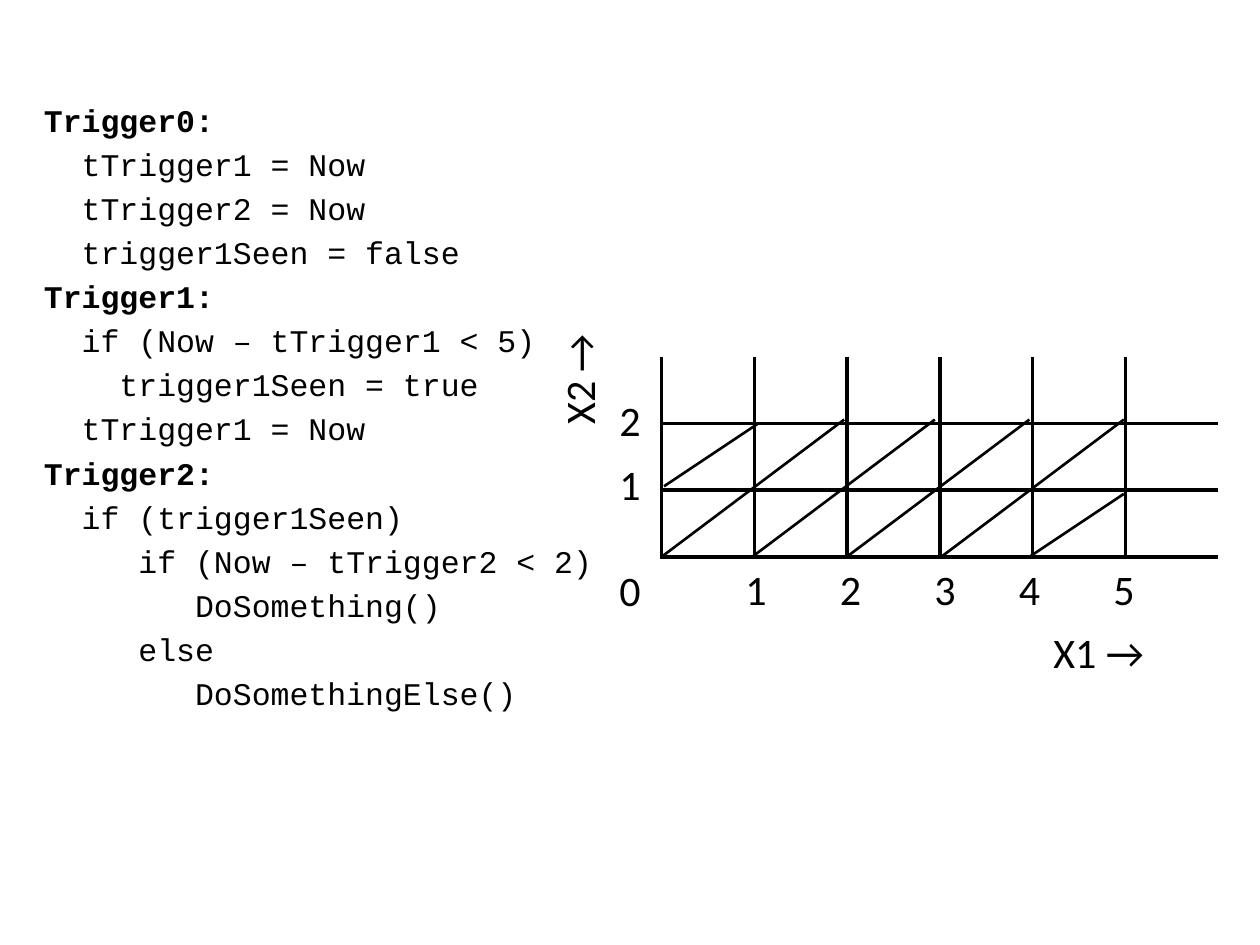
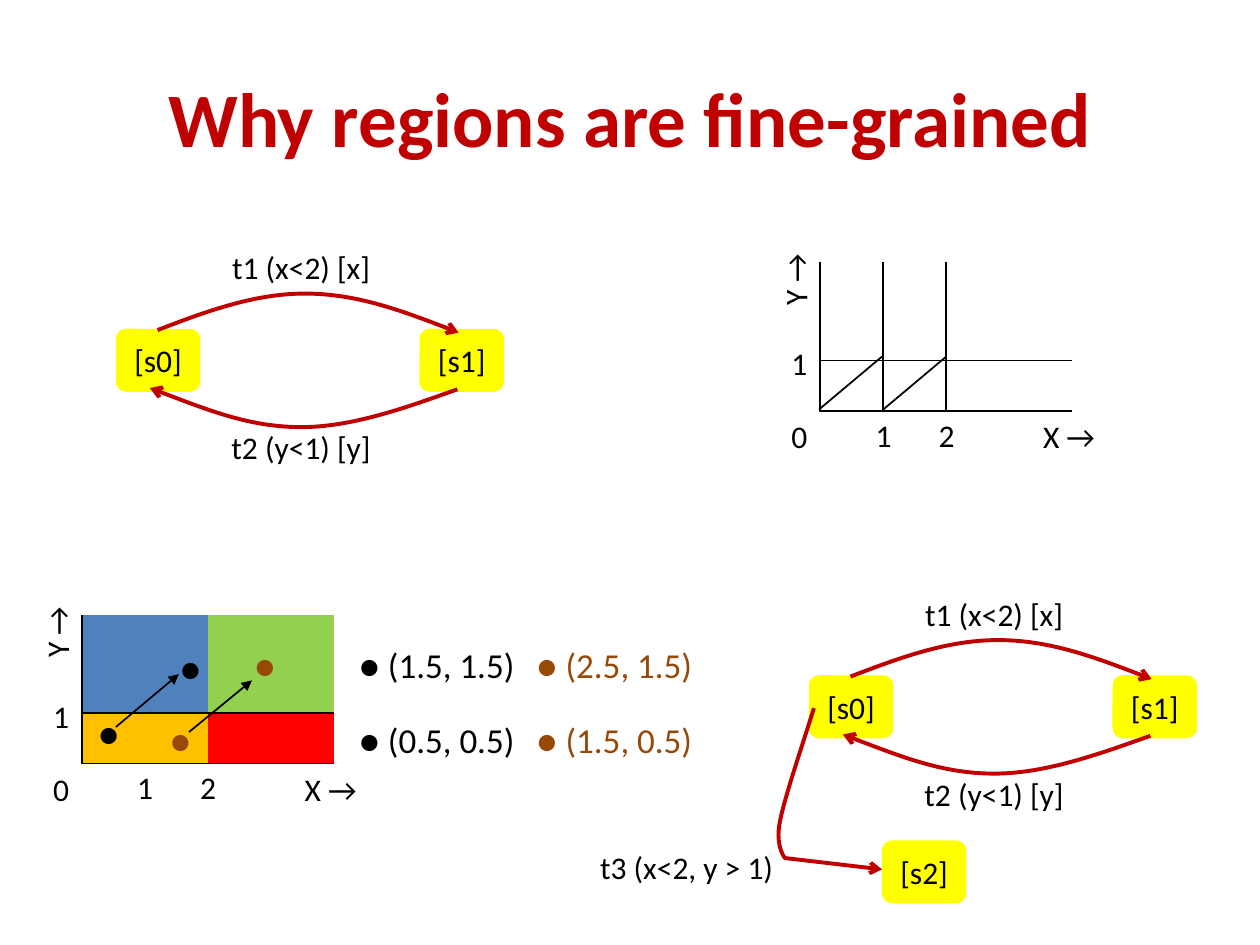
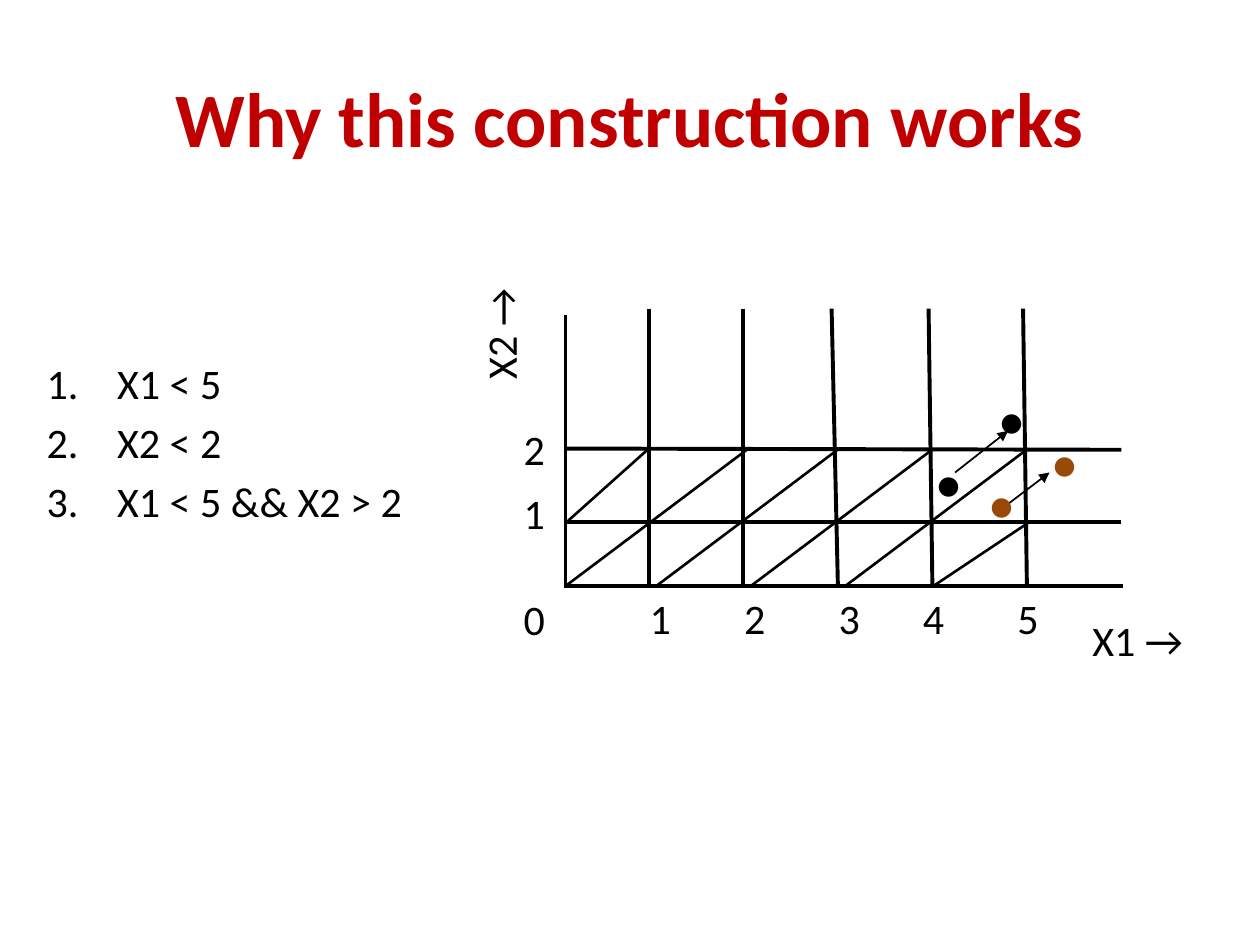
from pptx import Presentation
from pptx.dml.color import RGBColor
from pptx.enum.shapes import MSO_CONNECTOR, MSO_SHAPE
from pptx.enum.text import MSO_ANCHOR, MSO_AUTO_SIZE, PP_ALIGN
from pptx.oxml.ns import qn
from pptx.util import Inches, Pt
from lxml.etree import SubElement

BLACK, RED, BROWN, YELLOW = "000000", "C00000", "984807", "FFFF00"
BLUE, GREEN, ORANGE, BRIGHT_RED = "4F81BD", "92D050", "FFC000", "FF0000"
BODY_FONT, CODE_FONT = "Calibri", "Courier New"
NO_TABLE_STYLE = "{2D5ABB26-0587-4C30-8999-92F81FD0307C}"
TITLE_AND_CONTENT, TITLE_ONLY, BLANK = 1, 5, 6
CODE_GAP, LIST_GAP = Pt(3.6), Pt(5)

TRIGGER_CODE = """\
Trigger0:
  tTrigger1 = Now
  tTrigger2 = Now
  trigger1Seen = false
Trigger1:
  if (Now – tTrigger1 < 5)
    trigger1Seen = true
  tTrigger1 = Now
Trigger2:
  if (trigger1Seen)
     if (Now – tTrigger2 < 2)
        DoSomething()
     else
        DoSomethingElse()"""


def rgb(color):
    return RGBColor.from_string(color)


def inches(*lengths):
    return [Inches(length) for length in lengths]


class Deck:
    def __init__(self):
        self.prs = Presentation()
        self.prs.slide_width, self.prs.slide_height = inches(10, 7.5)
        self.slide = None

    def new_slide(self, layout, title=None):
        self.slide = self.prs.slides.add_slide(self.prs.slide_layouts[layout])
        if title:
            heading = self.slide.shapes.title
            self.place(heading, 0.5, 0.3, 9, 1.25)
            heading.text_frame.text = title
            heading.text_frame.vertical_anchor = MSO_ANCHOR.MIDDLE
            self.style(heading.text_frame.paragraphs[0], 44, RED, True, PP_ALIGN.CENTER)

    def place(self, shape, left, top, width, height):
        shape.left, shape.top, shape.width, shape.height = inches(left, top, width, height)

    def style(self, paragraph, size, color=BLACK, bold=False, align=PP_ALIGN.LEFT, font=BODY_FONT):
        paragraph.alignment = align
        for run in paragraph.runs:
            run.font.name, run.font.size, run.font.bold = font, Pt(size), bold
            run.font.color.rgb = rgb(color)

    def label(self, text, left, top, width, height, size=18, color=BLACK,
              align=PP_ALIGN.CENTER, rotation=0):
        box = self.slide.shapes.add_textbox(*inches(left, top, width, height))
        box.rotation = rotation
        box.text_frame.word_wrap = True
        box.text_frame.text = text
        self.style(box.text_frame.paragraphs[0], size, color, align=align)

    def dot(self, left, top, color, size=20):
        self.label("●", left, top, 0.33, 0.44, size, color, PP_ALIGN.LEFT)

    def code(self, source, left, top, width, height):
        """Add code whose section headings, ending in a colon, are bold."""
        box = self.slide.shapes.add_textbox(*inches(left, top, width, height))
        box.text_frame.word_wrap = True
        box.text_frame.text = source
        for number, paragraph in enumerate(box.text_frame.paragraphs):
            paragraph.space_before = CODE_GAP if number else Pt(0)
            self.style(paragraph, 18, bold=paragraph.text.endswith(":"), font=CODE_FONT)

    def numbered_list(self, items, left, top, width, height):
        body = self.slide.placeholders[1]
        self.place(body, left, top, width, height)
        frame = body.text_frame
        frame.auto_size = MSO_AUTO_SIZE.NONE
        frame.vertical_anchor = MSO_ANCHOR.MIDDLE
        frame.text = "\n".join(items)
        for number, paragraph in enumerate(frame.paragraphs):
            properties = paragraph._p.get_or_add_pPr()
            properties.set("marL", str(Inches(0.56)))
            properties.set("indent", str(-Inches(0.56)))
            SubElement(properties, qn("a:buFont"), typeface="+mj-lt")
            SubElement(properties, qn("a:buAutoNum"), type="arabicPeriod")
            paragraph.space_before = LIST_GAP if number else Pt(0)
            self.style(paragraph, 24)

    def line(self, start, end, width, head=None):
        connector = self.slide.shapes.add_connector(
            MSO_CONNECTOR.STRAIGHT, *inches(*start, *end))
        self.stroke(connector.line, BLACK, width, head)
        SubElement(connector._element.spPr, qn("a:effectLst"))

    def stroke(self, line, color, width, head=None):
        line.color.rgb = rgb(color)
        line.width = Pt(width)
        if head:
            SubElement(line._get_or_add_ln(), qn("a:tailEnd"), type=head)

    def curve(self, points, dx=0, dy=0):
        """Draw a red arrow; each three points make a Bezier curve, any left over a straight line."""
        start, *rest = [tuple(inches(x + dx, y + dy)) for x, y in points]
        builder = self.slide.shapes.build_freeform(*start)
        builder.add_line_segments(rest, close=False)
        arrow = builder.convert_to_shape()
        arrow.shadow.inherit = False
        arrow.fill.background()
        self.stroke(arrow.line, RED, 2.25, "arrow")
        steps = arrow._element.xpath(".//a:lnTo")
        for first in range(0, len(steps) - 2, 3):
            outline = steps[first].getparent()
            bezier = outline.makeelement(qn("a:cubicBezTo"))
            steps[first].addprevious(bezier)
            for step in steps[first:first + 3]:
                bezier.append(step[0])
                outline.remove(step)

    def state(self, name, left, top):
        node = self.slide.shapes.add_shape(
            MSO_SHAPE.ROUNDED_RECTANGLE, *inches(left, top, 0.67, 0.5))
        node.shadow.inherit = False
        node.fill.solid()
        node.fill.fore_color.rgb = rgb(YELLOW)
        node.line.fill.background()
        node.text_frame.text = name
        node.text_frame.vertical_anchor = MSO_ANCHOR.MIDDLE
        self.style(node.text_frame.paragraphs[0], 18, align=PP_ALIGN.CENTER)

    def grid(self, left, top, columns, rows, width, verticals=True, horizontals=True, fills=None):
        """Add a table open at the top and right, with inner lines as asked."""
        frame = self.slide.shapes.add_table(
            len(rows), len(columns), *inches(left, top, sum(columns), sum(rows)))
        table = frame.table
        table.first_row = table.horz_banding = False
        table._tbl.tblPr.find(qn("a:tableStyleId")).text = NO_TABLE_STYLE
        for column, size in zip(table.columns, columns):
            column.width = Inches(size)
        for row, size in zip(table.rows, rows):
            row.height = Inches(size)
        last_row, last_column = len(rows) - 1, len(columns) - 1
        for r in range(len(rows)):
            for c in range(len(columns)):
                cell = table.cell(r, c)
                self.borders(cell, width, {
                    "lnL": verticals or c == 0,
                    "lnR": verticals and c < last_column,
                    "lnT": horizontals and r > 0,
                    "lnB": horizontals or r == last_row})
                if fills:
                    cell.fill.solid()
                    cell.fill.fore_color.rgb = rgb(fills[r][c])
                else:
                    cell.fill.background()

    def borders(self, cell, width, sides):
        properties = cell._tc.get_or_add_tcPr()
        for side, shown in sides.items():
            edge = SubElement(properties, qn(f"a:{side}"), w=str(Pt(width) if shown else 0))
            if shown:
                SubElement(SubElement(edge, qn("a:solidFill")), qn("a:srgbClr"), val=BLACK)
            else:
                SubElement(edge, qn("a:noFill"))


def clock_plot(deck, x0, y0):
    """Label the X1/X2 grid with its origin at (x0, y0) and add the diagonals."""
    for number, dx in enumerate((0.5, 1.25, 2, 2.67, 3.42), 1):
        deck.label(str(number), x0 + dx, y0, 0.5, 0.5, 24)
    for number, dy in enumerate((0.01, -0.83, -1.34)):
        deck.label(str(number), x0 - 0.5, y0 + dy, 0.5, 0.5, 24)
    for dx in (0, 0.72, 1.47, 2.22):
        deck.line((x0 + dx, y0), (x0 + dx + 1.45, y0 - 1.09), 1.5)
    deck.line((x0 + 2.92, y0), (x0 + 3.67, y0 - 0.5), 1.5)


def small_plot(deck, x0, y0, **grid_options):
    """Add the small X/Y grid with its origin at (x0, y0)."""
    deck.grid(x0, y0 - 1.18, (0.5, 0.5, 1), (0.78, 0.4), 1, **grid_options)
    deck.label("X →", x0 + 1.67, y0, 0.74, 0.4, align=PP_ALIGN.LEFT)
    deck.label("Y →", x0 - 0.57, y0 - 1.31, 0.74, 0.4, align=PP_ALIGN.LEFT, rotation=270)
    for number, dy in enumerate((0, -0.58)):
        deck.label(str(number), x0 - 0.33, y0 + dy, 0.33, 0.4)
    for number in (1, 2):
        deck.label(str(number), x0 - 0.16 + number / 2, y0 - 0.01, 0.42, 0.4,
                   align=PP_ALIGN.LEFT)


def automaton(deck, dx, dy):
    """Add the two states and the transitions t1 and t2."""
    deck.state("[s0]", dx + 0.92, dy + 2.61)
    deck.state("[s1]", dx + 3.33, dy + 2.61)
    deck.curve([(1.25, 2.62), (1.64, 2.47), (2.02, 2.33), (2.42, 2.33),
                (2.82, 2.33), (3.23, 2.48), (3.64, 2.64)], dx, dy)
    deck.curve([(3.63, 3.09), (3.21, 3.24), (2.79, 3.39), (2.39, 3.39),
                (1.98, 3.39), (1.59, 3.23), (1.19, 3.08)], dx, dy)
    deck.label("t1 (x<2) [x]", dx + 1.45, dy + 1.92, 1.88, 0.4)
    deck.label("t2 (y<1) [y]", dx + 1.45, dy + 3.35, 1.88, 0.4)


def trigger_slide(deck):
    deck.new_slide(BLANK)
    deck.grid(5.25, 2.83, [4.42 / 6] * 6, [0.53] * 3, 2.25)
    clock_plot(deck, 5.25, 4.42)
    deck.line((5.27, 3.86), (6.02, 3.36), 1.5)
    deck.label("X1 →", 7.5, 4.92, 2.44, 0.5, 24)
    deck.label("X2 →", 3.58, 2.76, 2.02, 0.5, 24, rotation=270)
    deck.code(TRIGGER_CODE, 0.25, 0.75, 4.63, 5.45)


def regions_slide(deck):
    deck.new_slide(TITLE_ONLY, "Why regions are fine-grained")
    automaton(deck, 0, 0)
    small_plot(deck, 6.51, 3.26)
    for x in (6.5, 7.01):
        deck.line((x, 3.25), (x + 0.5, 2.83), 1)

    small_plot(deck, 0.65, 6.06, verticals=False,
               fills=[(BLUE, BLUE, GREEN), (ORANGE, ORANGE, BRIGHT_RED)])
    deck.line((0.92, 5.77), (1.42, 5.35), 1, "triangle")
    deck.line((1.5, 5.81), (2, 5.4), 1, "triangle")
    for left, top, color in ((0.68, 5.6, BLACK), (1.25, 5.65, BROWN),
                             (1.33, 5.08, BLACK), (1.92, 5.06, BROWN)):
        deck.dot(left, top, color)
    for y, top in ((0.5, 5.65), (1.5, 5.06)):
        for x, left, color in ((y, 2.75, BLACK), (y + 1, 4.16, BROWN)):
            deck.label(f"● ({x}, {y})", left, top, 1.5, 0.45, 20, color, PP_ALIGN.LEFT)

    automaton(deck, 5.5, 2.75)
    deck.state("[s2]", 7, 6.67)
    deck.curve([(6.46, 5.62), (6.35, 5.97), (6.23, 6.32), (6.19, 6.52),
                (6.15, 6.72), (6.23, 6.81), (6.23, 6.81), (7, 6.9)])
    deck.label("t3 (x<2, y > 1)", 4.35, 6.68, 2.2, 0.4)


def construction_slide(deck):
    deck.new_slide(TITLE_AND_CONTENT, "Why this construction works")
    deck.grid(4.49, 2.5, [4.42 / 6] * 6, (1.09, 0.53, 0.53), 2.25,
              verticals=False, horizontals=False)
    clock_plot(deck, 4.49, 4.65)
    deck.line((4.49, 4.15), (5.15, 3.56), 1.5)
    deck.label("X1 →", 7.81, 4.83, 2.44, 0.5, 24)
    deck.label("X2 →", 3.4, 2.4, 1.14, 0.5, 24, rotation=270)
    for top_x, bottom_x in ((5.15, 5.15), (5.9, 5.9), (6.6, 6.65), (7.37, 7.4), (8.12, 8.15)):
        deck.line((top_x, 2.45), (bottom_x, 4.65), 2.25)
    for right_y, left_y in ((4.14, 4.14), (3.57, 3.56)):
        deck.line((8.9, right_y), (4.49, left_y), 2.25)
    deck.line((7.58, 3.75), (8, 3.42), 1, "triangle")
    deck.line((8, 4), (8.33, 3.75), 1, "triangle")
    for left, top, color in ((7.33, 3.58, BLACK), (7.75, 3.75, BROWN),
                             (7.83, 3.08, BLACK), (8.25, 3.42, BROWN)):
        deck.dot(left, top, color, 24)
    deck.numbered_list(["X1 < 5", "X2 < 2", "X1 < 5 && X2 > 2"], 0.27, 2.5, 3.13, 2.01)


def main():
    deck = Deck()
    trigger_slide(deck)
    regions_slide(deck)
    construction_slide(deck)
    deck.prs.save("out.pptx")


if __name__ == "__main__":
    main()
